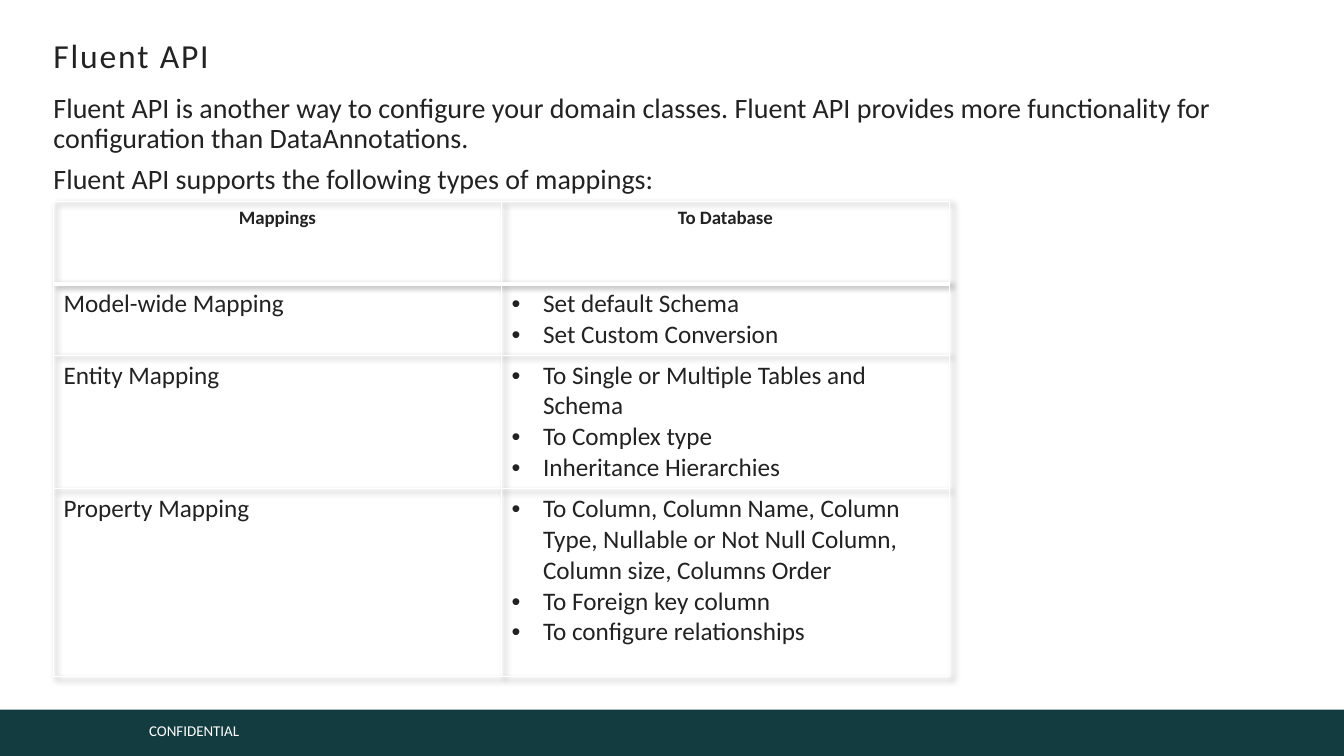
"""Build the Fluent API slide with its mapping table."""
from dataclasses import dataclass

from lxml.etree import SubElement as add_child
from pptx import Presentation
from pptx.dml.color import RGBColor as Rgb
from pptx.enum.shapes import MSO_SHAPE as Preset
from pptx.enum.text import MSO_ANCHOR as Anchor, PP_ALIGN as Align
from pptx.oxml import parse_xml
from pptx.oxml.ns import nsdecls, qn
from pptx.util import Pt


@dataclass(frozen=True)
class Theme:
    font: str = "Calibri"
    ink: str = "222222"
    white: str = "FFFFFF"
    band: str = "133C41"
    title: float = 24
    body: float = 20
    cell: float = 18
    header: float = 13.5
    footer: float = 10.7


THEME = Theme()
LEFT = 38.2
WIDTH, HEIGHT = 960, 540
COLUMN_WIDTH = 320
ROW_HEIGHTS = (58.5, 51, 95.5, 134)
BULLET_INDENT = 22.5
THIN, THICK = 1, 3
INTRO = (
    "Fluent API is another way to configure your domain classes. "
    "Fluent API provides more functionality for configuration than DataAnnotations.",
    "Fluent API supports the following types of mappings:",
)
HEADERS = ("Mappings", "To Database")
MAPPINGS = (
    ("Model-wide Mapping", ("Set default Schema", "Set Custom Conversion")),
    ("Entity Mapping", ("To Single or Multiple Tables and Schema",
                        "To Complex type", "Inheritance Hierarchies")),
    ("Property Mapping", ("To Column, Column Name, Column Type, Nullable or Not Null "
                          "Column, Column size, Columns Order",
                          "To Foreign key column", "To configure relationships")),
)


def add_run(para, text, size, color=THEME.ink, bold=False):
    span = para.add_run()
    span.text = text
    span.font.name = THEME.font
    span.font.size = Pt(size)
    span.font.bold = bold
    span.font.color.rgb = Rgb.from_string(color)
    return span


def add_paras(frame, texts):
    for index, text in enumerate(texts):
        yield (frame.add_paragraph() if index else frame.paragraphs[0]), text


def add_box(page, left, top, width, height, inset=(0, 0), anchor=Anchor.TOP):
    frame = page.shapes.add_textbox(Pt(left), Pt(top), Pt(width), Pt(height)).text_frame
    frame.word_wrap = True
    frame.vertical_anchor = anchor
    frame.margin_left = frame.margin_right = Pt(inset[0])
    frame.margin_top = frame.margin_bottom = Pt(inset[1])
    return frame


def add_title(page, text):
    frame = add_box(page, LEFT, 23.8, 885, 31.7, (0, 3.6), Anchor.MIDDLE)
    span = add_run(frame.paragraphs[0], text, THEME.title)
    span.font._element.set("spc", "130")


def add_intro(page, texts):
    frame = add_box(page, LEFT, 67.7, 831, 108)
    for para, text in add_paras(frame, texts):
        para.line_spacing = Pt(21.3)
        para.space_before = Pt(3.5)
        para.space_after = Pt(4)
        add_run(para, text, THEME.body)


def add_footer(page, text):
    top = 506.9
    band = page.shapes.add_shape(Preset.RECTANGLE, 0, Pt(top), Pt(WIDTH), Pt(HEIGHT - top))
    band.shadow.inherit = False
    band.fill.solid()
    band.fill.fore_color.rgb = Rgb.from_string(THEME.band)
    band.line.fill.background()
    frame = add_box(page, 99.4, 511.9, 254, 20.2, (7.2, 3.6))
    add_run(frame.paragraphs[0], text, THEME.footer, THEME.white)


def add_bullet(para):
    props = para._p.get_or_add_pPr()
    props.set("marL", str(Pt(BULLET_INDENT)))
    props.set("indent", str(-Pt(BULLET_INDENT)))
    add_child(props, qn("a:buFont"), typeface="Arial")
    add_child(props, qn("a:buChar"), char="•")


def style_cell(cell, row):
    props = cell._tc.get_or_add_tcPr()
    widths = {"L": THIN, "R": THIN, "T": THICK if row == 1 else THIN,
              "B": THICK if row == 0 else THIN}
    for side, width in widths.items():
        line = add_child(props, qn(f"a:ln{side}"), w=str(Pt(width)))
        fill = add_child(line, qn("a:solidFill"))
        add_child(fill, qn("a:srgbClr"), val=THEME.white)
    cell.fill.background()


def add_shadow(table):
    table._tbl.tblPr.insert(0, parse_xml(
        f'<a:effectLst {nsdecls("a")}><a:outerShdw blurRad="50800" dist="38100" '
        'dir="2700000" algn="tl" rotWithShape="0"><a:srgbClr val="000000">'
        '<a:alpha val="40000"/></a:srgbClr></a:outerShdw></a:effectLst>'))


def add_mapping_table(page):
    table = page.shapes.add_table(len(ROW_HEIGHTS), len(HEADERS), Pt(LEFT), Pt(144.2),
                                  Pt(COLUMN_WIDTH * len(HEADERS)),
                                  Pt(sum(ROW_HEIGHTS))).table
    table.first_row = table.horz_banding = False
    add_shadow(table)
    for column in table.columns:
        column.width = Pt(COLUMN_WIDTH)
    for index, height in enumerate(ROW_HEIGHTS):
        table.rows[index].height = Pt(height)
        for cell in table.rows[index].cells:
            style_cell(cell, index)
    for index, header in enumerate(HEADERS):
        para = table.cell(0, index).text_frame.paragraphs[0]
        para.alignment = Align.CENTER
        add_run(para, header, THEME.header, bold=True)
    for index, (mapping, targets) in enumerate(MAPPINGS, 1):
        add_run(table.cell(index, 0).text_frame.paragraphs[0], mapping, THEME.cell)
        for para, target in add_paras(table.cell(index, 1).text_frame, targets):
            add_bullet(para)
            add_run(para, target, THEME.cell)


def main():
    deck = Presentation()
    deck.slide_width, deck.slide_height = Pt(WIDTH), Pt(HEIGHT)
    page = deck.slides.add_slide(deck.slide_layouts[6])
    add_footer(page, "CONFIDENTIAL")
    add_title(page, "Fluent API")
    add_intro(page, INTRO)
    add_mapping_table(page)
    deck.save("out.pptx")


main()
